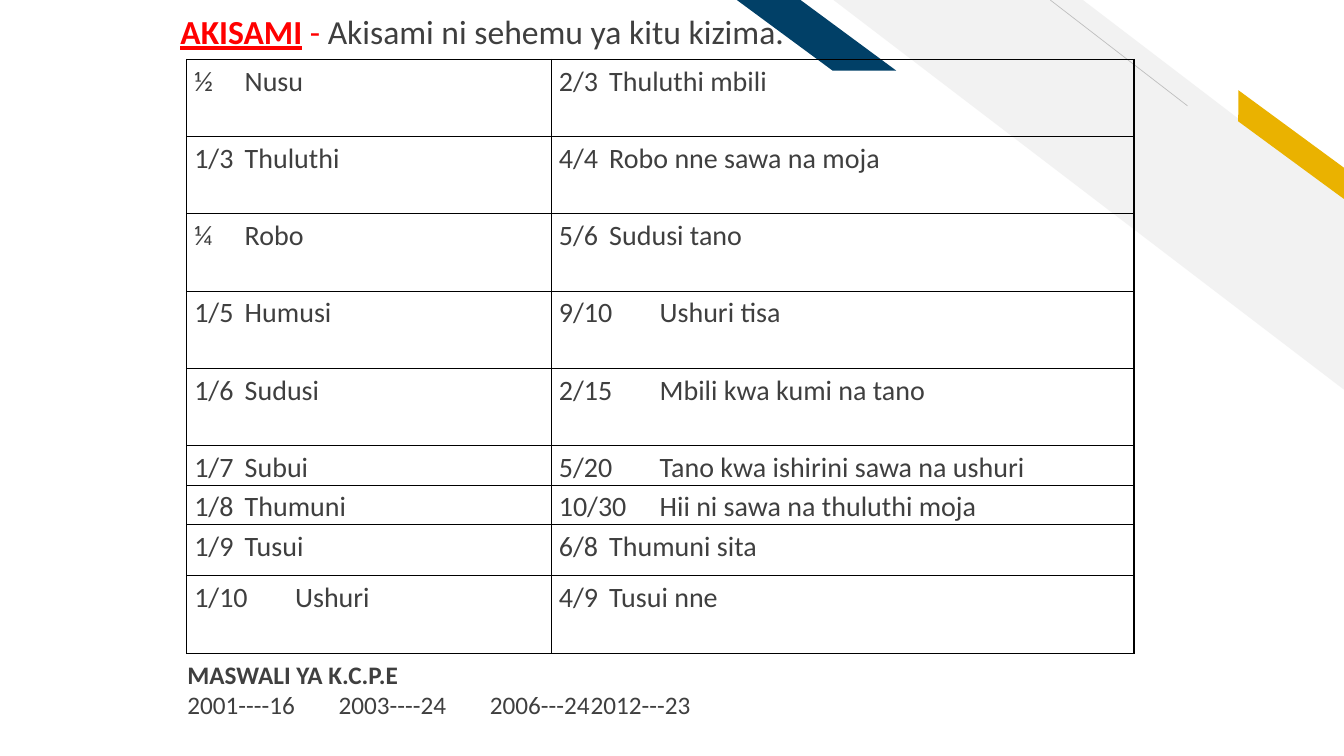
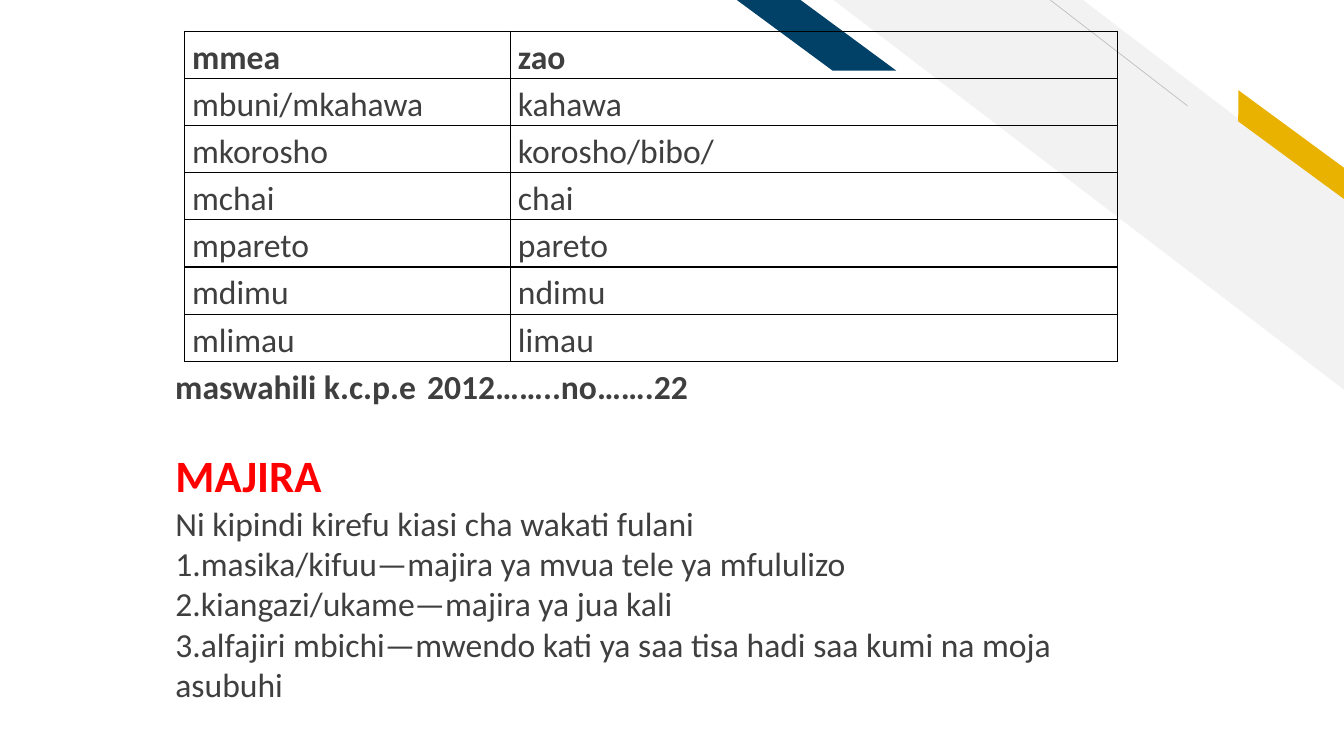
from lxml.etree import SubElement
from pptx import Presentation
from pptx.dml.color import RGBColor
from pptx.enum.shapes import MSO_CONNECTOR, MSO_SHAPE
from pptx.enum.text import MSO_ANCHOR, MSO_AUTO_SIZE, PP_ALIGN
from pptx.oxml import parse_xml
from pptx.oxml.ns import nsdecls, qn
from pptx.util import Pt

COLORS = {
    "text": "3F3F3F",
    "red": "FF0000",
    "navy": "014067",
    "gold": "EAB200",
    "pale": "F2F2F2",
    "gray": "BFBFBF",
    "border": "000000",
}
FONT = "Calibri"


def write(para, pieces, size, spacing=1.0, tabs=()):
    para.alignment = PP_ALIGN.LEFT
    para.line_spacing = spacing
    para.space_before = para.space_after = Pt(0)
    props = para._p.get_or_add_pPr()
    props.set("marL", "0")
    props.set("indent", "0")
    SubElement(props, qn("a:buNone"))
    if tabs:
        stops = SubElement(props, qn("a:tabLst"))
        for position in tabs:
            SubElement(stops, qn("a:tab"), pos=str(Pt(position)), algn="l")
    for text, color, bold, underline in pieces:
        span = para.add_run()
        span.text = text
        span.font.name = FONT
        span.font.size = Pt(size)
        span.font.bold = bold
        span.font.underline = underline
        span.font.color.rgb = RGBColor.from_string(COLORS[color])


def place(box, left, top, width, height):
    box.left, box.top, box.width, box.height = Pt(left), Pt(top), Pt(width), Pt(height)
    frame = box.text_frame
    frame.auto_size = MSO_AUTO_SIZE.NONE
    frame.word_wrap = True
    frame.vertical_anchor = MSO_ANCHOR.TOP
    return frame


deck = Presentation()
deck.slide_width, deck.slide_height = Pt(960), Pt(540)
layout = deck.slide_layouts[1]
pages = [deck.slides.add_slide(layout) for _ in range(2)]
fractions_page, crops_page = pages

decorations = [
    (MSO_SHAPE.DIAGONAL_STRIPE, 595.4, 0, 365, 278.6, 0, 0.512, "pale"),
    (MSO_SHAPE.PARALLELOGRAM, 869, 94.3, 106.6, 18, 36.3, 0.72, "gold"),
    (MSO_SHAPE.PARALLELOGRAM, 526.3, 0, 113.8, 50.4, 0, 1.356, "navy"),
]
for kind, left, top, width, height, rotation, adjustment, color in decorations:
    band = fractions_page.shapes.add_shape(kind, Pt(left), Pt(top), Pt(width), Pt(height))
    band.adjustments[0] = adjustment
    band.rotation = rotation
    band.element.spPr.xfrm.set("flipH", "1")
    band.fill.solid()
    band.fill.fore_color.rgb = RGBColor.from_string(COLORS[color])
    band.line.fill.background()
    band.shadow.inherit = False
    layout.shapes.element.append(band.element)

thin_line = fractions_page.shapes.add_connector(
    MSO_CONNECTOR.STRAIGHT, Pt(848.2), Pt(75.6), Pt(750.2), Pt(0))
thin_line.line.color.rgb = RGBColor.from_string(COLORS["gray"])
thin_line.line.width = Pt(0.5)
SubElement(thin_line.element.spPr, qn("a:effectLst"))
layout.shapes.element.append(thin_line.element)

frame = place(fractions_page.shapes.title, 121.7, 0, 724.3, 41)
write(frame.paragraphs[0], [
    ("AKISAMI", "red", True, True),
    (" - ", "red", False, False),
    ("Akisami ni sehemu ya kitu kizima.", "text", False, False),
], 24, 1.15)

fractions = [
    (55.2, ("½\tNusu", 54), ("2/3\tThuluthi mbili", 46)),
    (55.2, ("1/3\tThuluthi", 54), ("4/4\tRobo nne sawa na moja", 46)),
    (55.2, ("¼\tRobo", 54), ("5/6\tSudusi tano", 46)),
    (55.2, ("1/5\tHumusi", 54), ("9/10\tUshuri tisa", 47)),
    (55.2, ("1/6\tSudusi", 54), ("2/15\tMbili kwa kumi na tano", 47)),
    (27.6, ("1/7\tSubui", 54), ("5/20\tTano kwa ishirini sawa na ushuri", 47)),
    (27.6, ("1/8\tThumuni", 54), ("10/30\tHii ni sawa na thuluthi moja", 57)),
    (36.6, ("1/9\tTusui", 54), ("6/8\tThumuni sita", 50)),
    (55.2, ("1/10\tUshuri", 51.5), ("4/9\tTusui nne", 55)),
]
crops = [
    ("mmea", "zao"),
    ("mbuni/mkahawa", "kahawa"),
    ("mkorosho", "korosho/bibo/"),
    ("mchai", "chai"),
    ("mpareto", "pareto"),
    ("mdimu", "ndimu"),
    ("mlimau", "limau"),
]
crop_rows = [(33.6, (plant, None), (crop, None)) for plant, crop in crops]

tables = [
    (fractions_page, 133.4, 42.4, (260.4, 416.2), fractions, 20, False),
    (crops_page, 131.8, 22.3, (232.8, 433.4), crop_rows, 24, True),
]
for page, left, top, widths, rows, size, has_header in tables:
    height = sum(row[0] for row in rows)
    table = page.shapes.add_table(
        len(rows), 2, Pt(left), Pt(top), Pt(sum(widths)), Pt(height)).table
    table.first_row = has_header
    table.horz_banding = False
    for column, width in zip(table.columns, widths):
        column.width = Pt(width)
    for row_index, (row_height, *entries) in enumerate(rows):
        table.rows[row_index].height = Pt(row_height)
        for column_index, (text, stop) in enumerate(entries):
            cell = table.cell(row_index, column_index)
            cell.margin_left = cell.margin_right = Pt(5.4)
            cell.margin_top = cell.margin_bottom = Pt(0)
            cell.fill.background()
            cell_props = cell._tc.get_or_add_tcPr()
            for position, side in enumerate(("lnL", "lnR", "lnT", "lnB")):
                cell_props.insert(position, parse_xml(
                    f'<a:{side} {nsdecls("a")} w="{Pt(1)}"><a:solidFill>'
                    f'<a:srgbClr val="{COLORS["border"]}"/></a:solidFill></a:{side}>'))
            bold = has_header and row_index == 0
            write(cell.text_frame.paragraphs[0], [(text, "text", bold, False)],
                  size, 1.15, (stop,) if stop else ())

frame = place(fractions_page.placeholders[1], 126.7, 467.3, 683.3, 51)
write(frame.paragraphs[0], [("MASWALI YA K.C.P.E", "text", True, False)], 18)
write(frame.add_paragraph(),
      [("2001----16\t2003----24\t2006---24\t2012---23", "text", False, False)],
      18, tabs=(144, 288, 432))

exam_box = crops_page.shapes.add_textbox(0, 0, 0, 0)
frame = place(exam_box, 118.1, 257.8, 715, 37)
write(frame.paragraphs[0],
      [("maswahili k.c.p.e\t2012……..no…….22", "text", True, False)], 24, tabs=(216,))

frame = place(crops_page.shapes.title, 118.1, 316.4, 715, 46)
write(frame.paragraphs[0], [("MAJIRA", "red", True, False)], 32)

seasons = [
    "Ni kipindi kirefu kiasi cha wakati fulani",
    "1.masika/kifuu—majira ya mvua tele ya mfululizo",
    "2.kiangazi/ukame—majira ya jua kali",
    "3.alfajiri mbichi—mwendo kati ya saa tisa hadi saa kumi na moja asubuhi",
]
frame = place(crops_page.placeholders[1], 118.1, 355.4, 700, 155)
for index, season in enumerate(seasons):
    para = frame.add_paragraph() if index else frame.paragraphs[0]
    write(para, [(season, "text", False, False)], 24)

deck.save("out.pptx")
